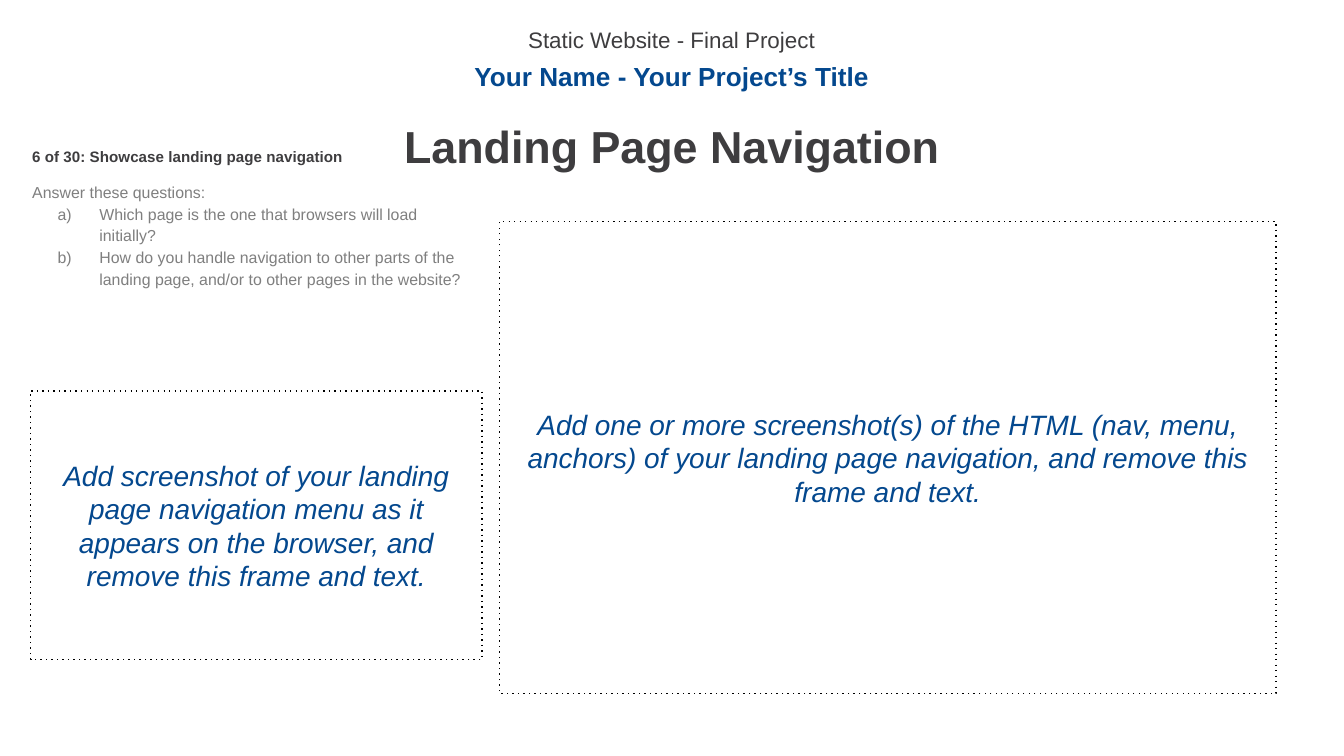
import pptx
import pptx.dml.color
import pptx.enum.shapes
import pptx.enum.text
import pptx.oxml.ns
import pptx.util
from lxml import etree

Cm = pptx.util.Cm
Pt = pptx.util.Pt
qn = pptx.oxml.ns.qn
Align = pptx.enum.text.PP_ALIGN
Anchor = pptx.enum.text.MSO_ANCHOR

DARK = "3E3D3F"
BLUE = "04488E"
GRAY = "7F7F7F"
BLACK = "000000"


def color(value):
    return pptx.dml.color.RGBColor.from_string(value)


class SlideBuilder:
    font = "Arial"
    line_spacing = 1.14
    frame_size = 15

    def __init__(self, slide):
        self.slide = slide

    def style(self, paragraph, size, fill, bold=False, italic=False):
        paragraph.font.name = self.font
        paragraph.font.size = Pt(size)
        paragraph.font.color.rgb = color(fill)
        paragraph.font.bold = bold
        paragraph.font.italic = italic

    def text(self, box, lines, size, fill, bold=False, align=Align.LEFT):
        shape = self.slide.shapes.add_textbox(*map(Cm, box))
        frame = shape.text_frame
        frame.word_wrap = True
        frame.text = "\n".join(lines)
        for paragraph in frame.paragraphs:
            paragraph.alignment = align
            paragraph.line_spacing = self.line_spacing
            self.style(paragraph, size, fill, bold)
        return frame.paragraphs

    def heading(self, top, height, text, size, fill, bold=True):
        box = (5.05, top, 15.29, height)
        self.text(box, [text], size, fill, bold, Align.CENTER)

    def questions(self, box, intro, items, size, fill):
        paragraphs = self.text(box, [intro, *items], size, fill)
        for paragraph in paragraphs[1:]:
            properties = paragraph._p.get_or_add_pPr()
            properties.set("marL", str(Cm(1.27)))
            properties.set("indent", str(-Cm(0.79)))
            bullet_color = etree.SubElement(properties, qn("a:buClr"))
            etree.SubElement(bullet_color, qn("a:srgbClr"), val=fill)
            etree.SubElement(properties, qn("a:buAutoNum"), type="alphaLcParenR")
            properties.append(properties.find(qn("a:defRPr")))

    def screenshot_frame(self, box, text):
        rectangle = pptx.enum.shapes.MSO_SHAPE.RECTANGLE
        shape = self.slide.shapes.add_shape(rectangle, *map(Cm, box))
        shape.shadow.inherit = False
        shape.fill.background()
        shape.line.color.rgb = color(BLACK)
        shape.line.width = Pt(0.75)
        outline = shape.element.spPr.find(qn("a:ln"))
        etree.SubElement(outline, qn("a:prstDash"), val="dot")
        frame = shape.text_frame
        frame.word_wrap = True
        frame.vertical_anchor = Anchor.MIDDLE
        frame.margin_left = frame.margin_right = Cm(0.25)
        frame.margin_top = frame.margin_bottom = Cm(0.25)
        frame.text = text
        paragraph = frame.paragraphs[0]
        paragraph.alignment = Align.CENTER
        self.style(paragraph, self.frame_size, BLUE, italic=True)


def main():
    presentation = pptx.Presentation()
    presentation.slide_width = Cm(25.4)
    presentation.slide_height = Cm(14.29)
    builder = SlideBuilder(presentation.slides.add_slide(presentation.slide_layouts[6]))

    builder.text((0.36, 2.62, 8.76, 0.64), ["6 of 30: Showcase landing page navigation"],
                 8.1, DARK, bold=True)
    builder.screenshot_frame(
        (9.44, 4.19, 14.68, 8.92),
        "Add one or more screenshot(s) of the HTML (nav, menu, anchors) of your "
        "landing page navigation, and remove this frame and text.")
    builder.heading(0.94, 0.91, "Your Name - Your Project’s Title", 14, BLUE)
    builder.heading(0.3, 0.61, "Static Website - Final Project", 12, DARK, bold=False)
    builder.heading(1.98, 1.14, "Landing Page Navigation", 24, DARK)
    builder.questions(
        (0.36, 3.28, 8.76, 5.08),
        "Answer these questions:",
        ["Which page is the one that browsers will load initially?",
         "How do you handle navigation to other parts of the landing page, "
         "and/or to other pages in the website?"],
        8.5, GRAY)
    builder.screenshot_frame(
        (0.58, 7.39, 8.53, 5.08),
        "Add screenshot of your landing page navigation menu as it appears on "
        "the browser, and remove this frame and text.")

    presentation.save("out.pptx")


if __name__ == "__main__":
    main()
